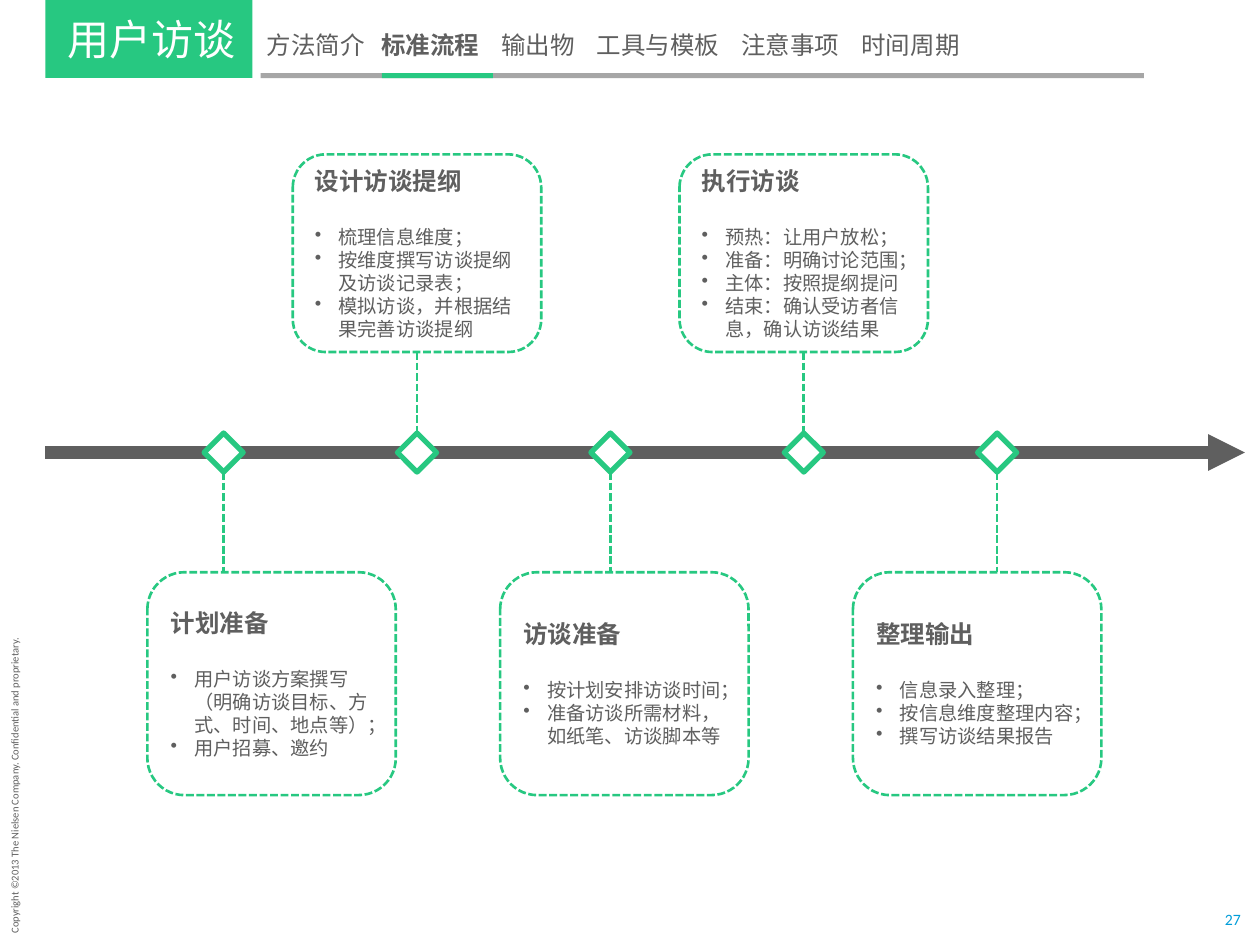
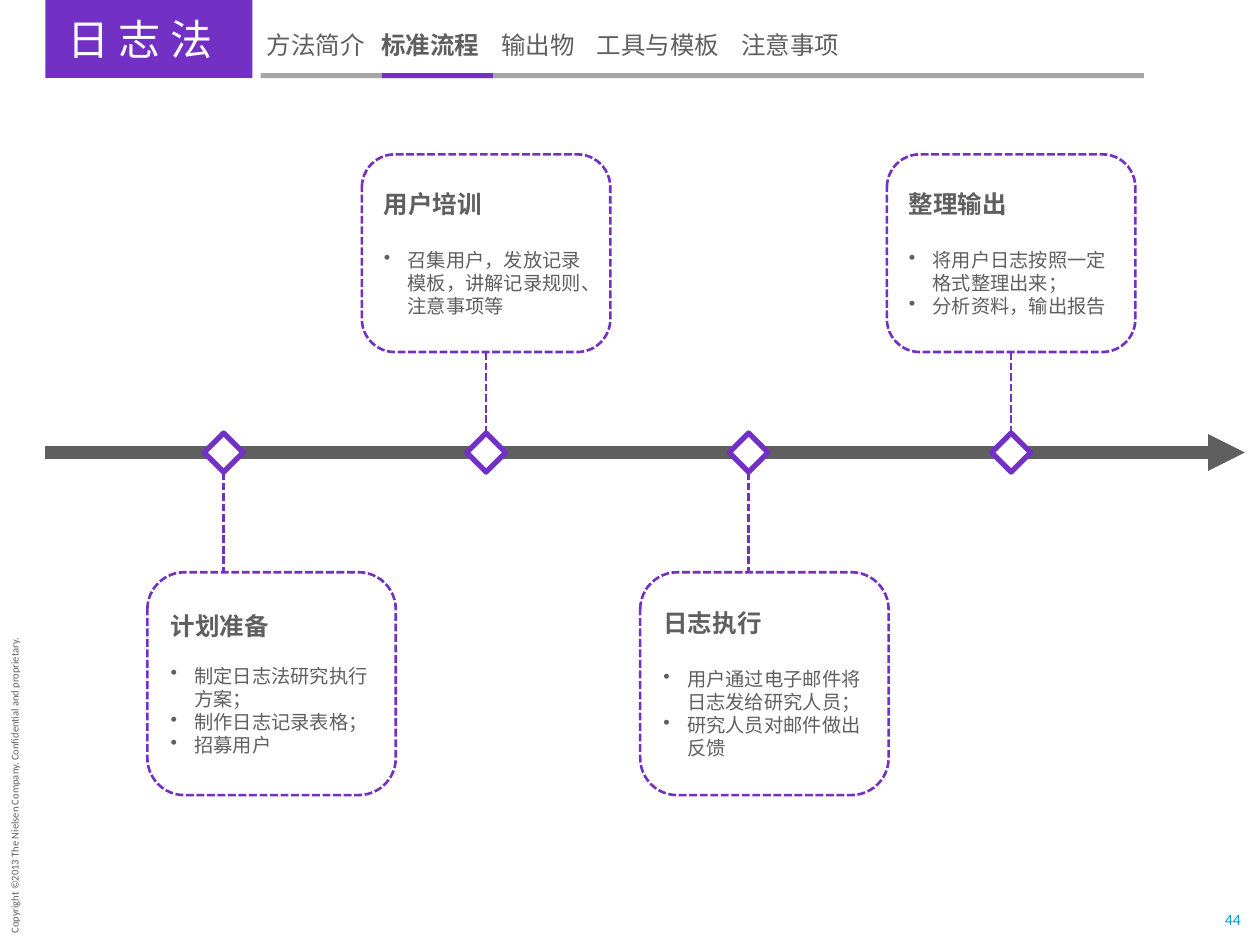
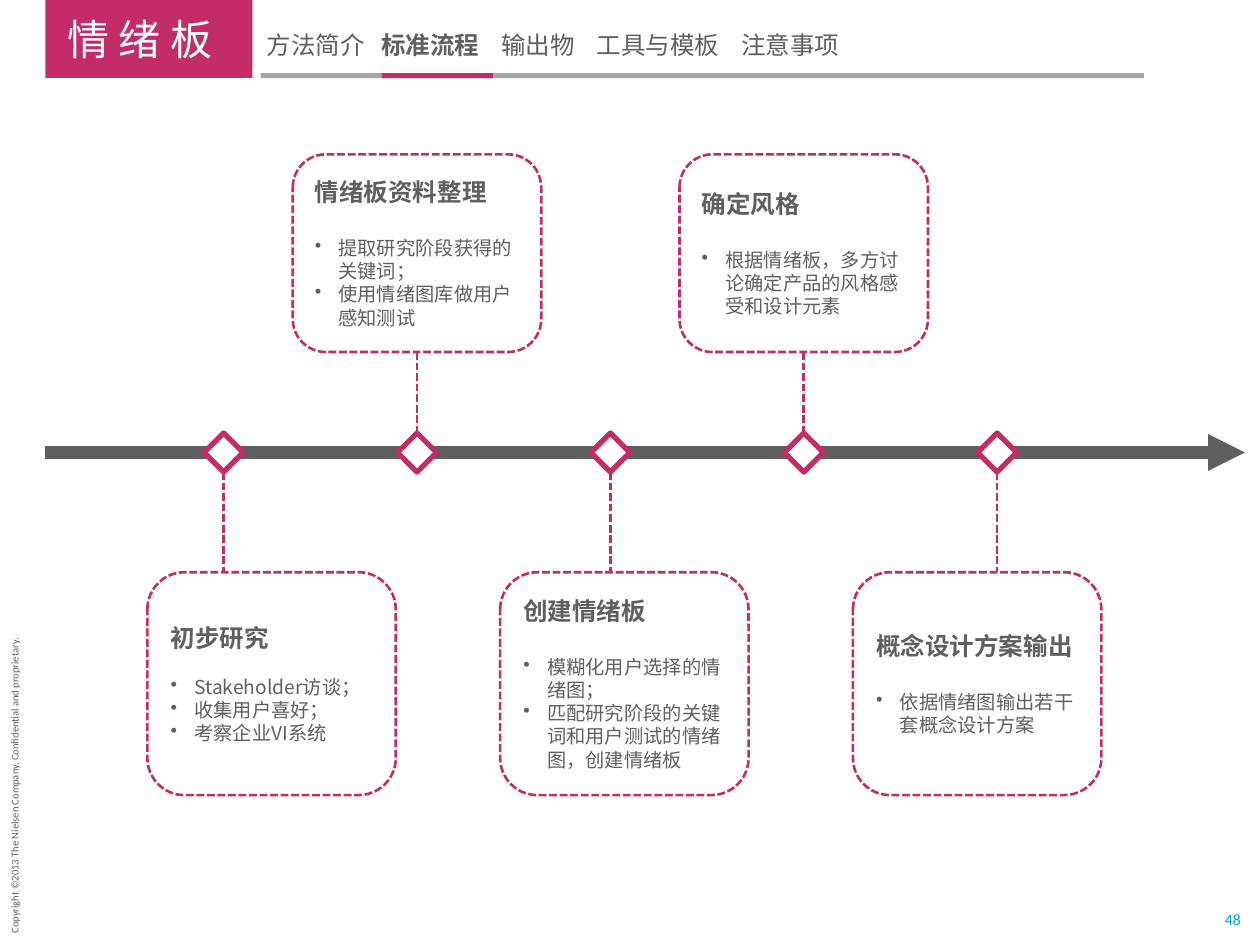
from itertools import accumulate

from lxml import etree
from pptx import Presentation
from pptx.dml.color import RGBColor
from pptx.enum import dml, shapes, text
from pptx.oxml.ns import qn
from pptx.util import Pt

CJK, LATIN = "Noto Sans CJK SC", "Calibri"
INK, WHITE, RULE, NUMBER = "5F5F5F", "FFFFFF", "A6A6A6", "009DD9"
COPYRIGHT = "Copyright ©2013 The Nielsen Company. Confidential and proprietary."
SECTIONS = ["方法简介", "标准流程", "输出物", "工具与模板", "注意事项", "时间周期"]
CURRENT = 1
NAV_SIZE, NAV_GAPS = 14, [9.4, 12.6, 12.6, 12.6, 12.6]

AXIS_Y, FIRST_X, MARKER = 258.6, 127.8, 22.3
CARD_W, LOWER_LEFT = 142, 84.2
UPPER_TOP, UPPER_H = 88.2, 113
LOWER_TOP, LOWER_H = 327, 127.4
HEAD_GAP, SMALL_GAP = 16.9, 13.3

# Each step: heading, bullets and, if not the usual one, the gap below the heading
SLIDES = [
    dict(title="用户访谈", number=27, accent="27C881", sections=6,
         step_gap=110.5, lower_gap=201.6, steps=[
             ("计划准备", ["用户访谈方案撰写（明确访谈目标、方式、时间、地点等）；",
                       "用户招募、邀约"]),
             ("设计访谈提纲", ["梳理信息维度；", "按维度撰写访谈提纲及访谈记录表；",
                         "模拟访谈，并根据结果完善访谈提纲"]),
             ("访谈准备", ["按计划安排访谈时间；", "准备访谈所需材料，如纸笔、访谈脚本等"]),
             ("执行访谈", ["预热：让用户放松；", "准备：明确讨论范围；", "主体：按照提纲提问",
                       "结束：确认受访者信息，确认访谈结果"]),
             ("整理输出", ["信息录入整理；", "按信息维度整理内容；", "撰写访谈结果报告"]),
         ]),
    dict(title="日 志 法", number=44, accent="7330C4", sections=5,
         step_gap=150, lower_gap=281.6, steps=[
             ("计划准备", ["制定日志法研究执行方案；", "制作日志记录表格；", "招募用户"], SMALL_GAP),
             ("用户培训", ["召集用户，发放记录模板，讲解记录规则、注意事项等"]),
             ("日志执行", ["用户通过电子邮件将日志发给研究人员；", "研究人员对邮件做出反馈"]),
             ("整理输出", ["将用户日志按照一定格式整理出来；", "分析资料，输出报告"]),
         ]),
    dict(title="情 绪 板", number=48, accent="C42C68", sections=5,
         step_gap=110.5, lower_gap=201.6, steps=[
             ("初步研究", ["Stakeholder访谈；", "收集用户喜好；", "考察企业VI系统"], SMALL_GAP),
             ("情绪板资料整理", ["提取研究阶段获得的关键词；", "使用情绪图库做用户感知测试"]),
             ("创建情绪板", ["模糊化用户选择的情绪图；",
                        "匹配研究阶段的关键词和用户测试的情绪图，创建情绪板"]),
             ("确定风格", ["根据情绪板，多方讨论确定产品的风格感受和设计元素"]),
             ("概念设计方案输出", ["依据情绪图输出若干套概念设计方案"]),
         ]),
]


def rgb(value):
    return RGBColor.from_string(value)


def assign(obj, **values):
    for name, value in values.items():
        setattr(obj, name, value)


def add_xml(parent, tag, **attributes):
    return etree.SubElement(parent, qn(tag), attributes)


def add_run(p, content, size, color=INK, font=CJK, bold=False):
    r = p.add_run()
    r.text = content
    assign(r.font, name=font, size=Pt(size), bold=bold)
    r.font.color.rgb = rgb(color)
    add_xml(r._r.get_or_add_rPr(), "a:ea", typeface=font)


def add_bullet(p):
    pPr = p._p.get_or_add_pPr()
    for name, value in {"marL": Pt(13.5), "indent": -Pt(13.5)}.items():
        pPr.set(name, str(int(value)))
    add_xml(pPr, "a:buChar", char="•")


class Deck:
    """Holds the presentation, the current slide and its accent colour."""

    def __init__(self):
        self.prs = Presentation()
        assign(self.prs, slide_width=Pt(720), slide_height=Pt(540))

    def start(self, accent):
        self.s = self.prs.slides.add_slide(self.prs.slide_layouts[5])
        self.accent = accent

    def title(self, content):
        sp = self.s.shapes.title
        assign(sp, left=Pt(26), top=Pt(0), width=Pt(118.2), height=Pt(44.6))
        sp.fill.solid()
        sp.fill.fore_color.rgb = rgb(self.accent)
        tf = sp.text_frame
        assign(tf, auto_size=text.MSO_AUTO_SIZE.NONE, margin_left=Pt(12.6),
               vertical_anchor=text.MSO_ANCHOR.MIDDLE)
        p = tf.paragraphs[0]
        p.alignment = text.PP_ALIGN.LEFT
        add_run(p, content, 24, WHITE)

    def shape(self, kind, x, y, w, h, fill=None, line=None, weight=1.5):
        sp = self.s.shapes.add_shape(kind, Pt(x), Pt(y), Pt(w), Pt(h))
        sp.shadow.inherit = False
        if fill:
            sp.fill.solid()
            sp.fill.fore_color.rgb = rgb(fill)
        else:
            sp.fill.background()
        if line:
            sp.line.color.rgb = rgb(line)
            sp.line.width = Pt(weight)
        else:
            sp.line.fill.background()
        return sp

    def bar(self, x, w, color):
        self.shape(shapes.MSO_SHAPE.RECTANGLE, x, 41.8, w, 2.9, color)

    def textbox(self, x, y, w, h, **frame):
        sp = self.s.shapes.add_textbox(Pt(x), Pt(y), Pt(w), Pt(h))
        assign(sp.text_frame, **frame)
        return sp, sp.text_frame.paragraphs[0]

    def line(self, x1, y1, x2, y2, color, weight):
        c = self.s.shapes.add_connector(shapes.MSO_CONNECTOR.STRAIGHT,
                                        Pt(x1), Pt(y1), Pt(x2), Pt(y2))
        c.line.color.rgb = rgb(color)
        c.line.width = Pt(weight)
        add_xml(c._element.spPr, "a:effectLst")
        return c

    def navigation(self, sections):
        self.bar(149, 504.7, RULE)
        self.bar(218.2, 63.4, self.accent)
        _, p = self.textbox(145.4, 13.7, 498, 24.5, word_wrap=True)
        tabs = add_xml(p._p.get_or_add_pPr(), "a:tabLst")
        advances = [len(name) * NAV_SIZE + gap for name, gap in zip(sections[:-1], NAV_GAPS)]
        for stop in accumulate(advances):
            add_xml(tabs, "a:tab", pos=str(int(Pt(stop))), algn="l")
        for i, name in enumerate(sections):
            add_run(p, "\t" + name if i else name, NAV_SIZE, bold=i == CURRENT)

    def footer(self, number):
        sp, p = self.textbox(-85, 440, 186.5, 14.4, word_wrap=False)
        sp.rotation = 270
        add_run(p, COPYRIGHT, 6, font=LATIN)
        _, p = self.textbox(699.1, 519.8, 10.8, 10.8, word_wrap=False,
                            margin_left=0, margin_right=0, margin_top=0, margin_bottom=0,
                            vertical_anchor=text.MSO_ANCHOR.MIDDLE)
        p.alignment = text.PP_ALIGN.CENTER
        add_run(p, str(number), 9, NUMBER, LATIN)

    def axis(self):
        c = self.line(26, AXIS_Y, 711.4, AXIS_Y, INK, 7)
        add_xml(c.line._get_or_add_ln(), "a:tailEnd", type="triangle")

    def marker(self, x):
        return self.shape(shapes.MSO_SHAPE.DIAMOND, x - MARKER / 2, AXIS_Y - MARKER / 2,
                          MARKER, MARKER, WHITE, self.accent, 3)

    def card(self, x, y, h, heading, bullets, gap=HEAD_GAP):
        sp = self.shape(shapes.MSO_SHAPE.ROUNDED_RECTANGLE, x, y, CARD_W, h, line=self.accent)
        sp.line.dash_style = dml.MSO_LINE.SQUARE_DOT
        tf = sp.text_frame
        assign(tf, word_wrap=True, vertical_anchor=text.MSO_ANCHOR.MIDDLE)
        p = tf.paragraphs[0]
        p.alignment = text.PP_ALIGN.LEFT
        add_run(p, heading, 14, bold=True)
        for i, bullet in enumerate(bullets):
            p = tf.add_paragraph()
            add_bullet(p)
            assign(p, alignment=text.PP_ALIGN.LEFT, space_before=Pt(0 if i else gap))
            add_run(p, bullet, 11)
        return sp

    def step(self, i, x, lower_gap, content):
        """Draw one step: even ones hang below the axis, odd ones stand above it."""
        marker = self.marker(x)
        if i % 2:
            card = self.card(x - CARD_W / 2, UPPER_TOP, UPPER_H, *content)
            c = self.line(x, UPPER_TOP + UPPER_H, x, AXIS_Y - MARKER / 2, self.accent, 1.5)
            c.begin_connect(card, 2)
            c.end_connect(marker, 0)
        else:
            self.card(LOWER_LEFT + i // 2 * lower_gap, LOWER_TOP, LOWER_H, *content)
            c = self.line(x, AXIS_Y + MARKER / 2, x, LOWER_TOP, self.accent, 1.5)
            c.begin_connect(marker, 2)
        c.line.dash_style = dml.MSO_LINE.SQUARE_DOT


def main():
    deck = Deck()
    for page in SLIDES:
        deck.start(page["accent"])
        deck.title(page["title"])
        deck.navigation(SECTIONS[:page["sections"]])
        deck.footer(page["number"])
        deck.axis()
        for i, content in enumerate(page["steps"]):
            deck.step(i, FIRST_X + i * page["step_gap"], page["lower_gap"], content)
    deck.prs.save("out.pptx")


if __name__ == "__main__":
    main()
